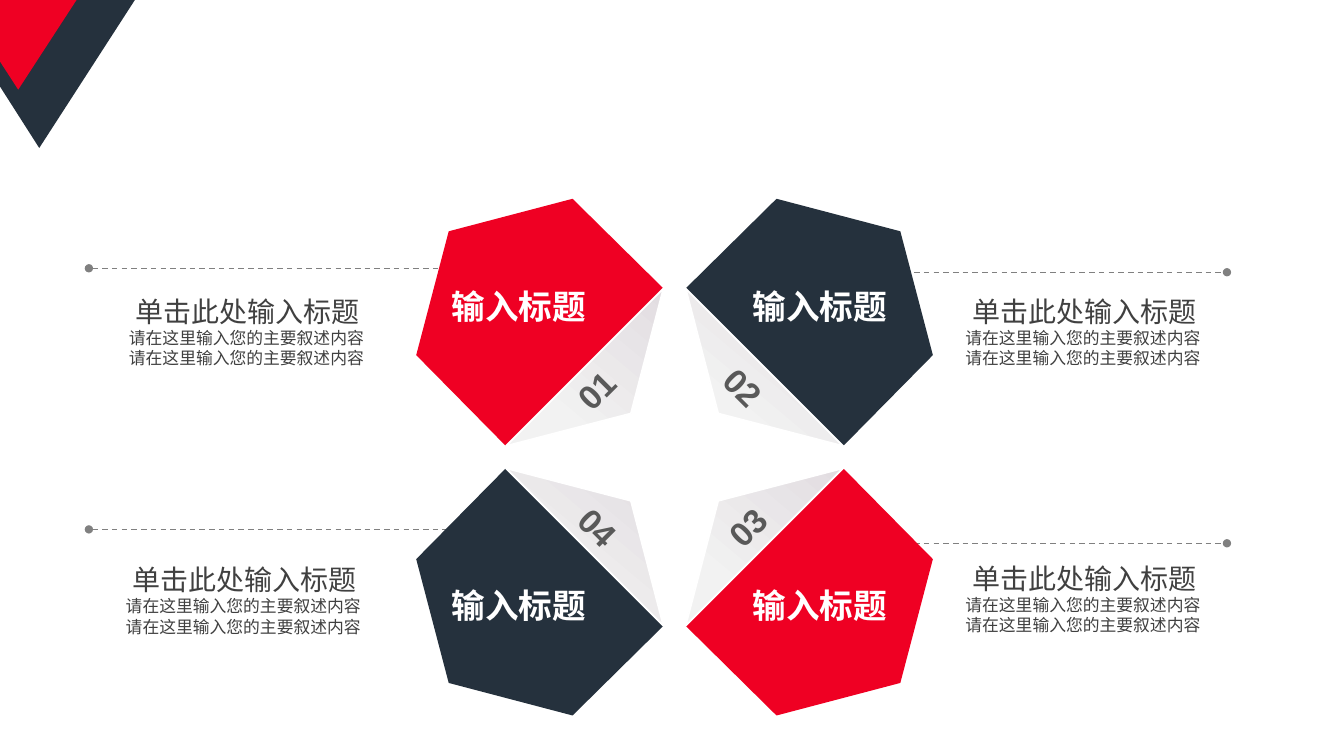
from lxml import etree
from pptx import Presentation
from pptx.dml.color import RGBColor
from pptx.enum.dml import MSO_LINE_DASH_STYLE as Dash
from pptx.enum.shapes import MSO_CONNECTOR_TYPE as Link
from pptx.enum.text import MSO_AUTO_SIZE as Fit, PP_ALIGN as Align
from pptx.oxml.ns import qn
from pptx.util import Cm, Pt

RED, NAVY = "EF0023", "25313D"
MID_X, MID_Y = 17, 11.52

# Hexagon corners as distances from the centre; the last three form the flap
HEX = [(6.51, 2.57), (5.69, 5.69), (2.57, 6.51),
       (0.28, 4.25), (1.1, 1.1), (4.25, 0.28)]


def tint(color, code):
    color.rgb = RGBColor.from_string(code)


def write(para, text, size=12, color="404040", bold=False,
          align=Align.LEFT, indent=0):
    para.alignment = align
    if indent:
        para._p.get_or_add_pPr().set("marL", str(Cm(indent)))
    run = para.add_run()
    run.text = text
    run.font.name = "Arial"
    run.font.size = Pt(size)
    run.font.bold = bold
    tint(run.font.color, color)


class Deck:
    def __init__(self):
        self.prs = Presentation()
        self.prs.slide_width, self.prs.slide_height = Cm(33.87), Cm(19.05)
        self.slide = self.prs.slides.add_slide(self.prs.slide_layouts[6])
        self.shapes = self.slide.shapes

    def poly(self, points, color):
        spots = [(Cm(x), Cm(y)) for x, y in points]
        pen = self.shapes.build_freeform(*spots[0])
        pen.add_line_segments(spots[1:], close=True)
        shape = pen.convert_to_shape()
        shape.shadow.inherit = False
        shape.fill.solid()
        tint(shape.fill.fore_color, color)
        shape.line.fill.background()
        return shape

    def flap(self, points):
        shape = self.poly(points, "F2F2F2")
        shape.fill.gradient()
        shape.fill.gradient_angle = 230
        stops = shape.fill.gradient_stops
        for stop, color, place in zip(stops, ("E2DDE1", "F2F2F2"), (0, 0.76)):
            tint(stop.color, color)
            stop.position = place
        tint(shape.line.color, "FFFFFF")
        shape.line.width = Pt(1.25)

    def rule(self, x, y, width):
        link = self.shapes.add_connector(
            Link.STRAIGHT, Cm(x), Cm(y), Cm(x + width), Cm(y))
        tint(link.line.color, "808080")
        link.line.width = Pt(1)
        link.line.dash_style = Dash.DASH
        line = link.line._get_or_add_ln()
        for end in ("a:headEnd", "a:tailEnd"):
            etree.SubElement(line, qn(end), type="oval")
        etree.SubElement(link._element.spPr, qn("a:effectLst"))

    def box(self, x, y, width, height, wrap=False, turn=0):
        shape = self.shapes.add_textbox(Cm(x), Cm(y), Cm(width), Cm(height))
        shape.rotation = turn
        frame = shape.text_frame
        frame.word_wrap = wrap
        frame.auto_size = Fit.SHAPE_TO_FIT_TEXT
        return frame

    def petal(self, side, row, color):
        points = [(MID_X + side * x, MID_Y + row * y) for x, y in HEX]
        self.poly(points, color)
        self.flap(points[3:])

    def badge(self, text, x, y, turn):
        frame = self.box(x, y, 2.46, 1.27, wrap=True, turn=turn)
        write(frame.paragraphs[0], text, size=24, color="595959",
              bold=True, align=Align.CENTER)

    def label(self, text, x, y):
        frame = self.box(x, y, 3.96, 1.27)
        write(frame.paragraphs[0], text, size=24, color="FFFFFF", bold=True)

    def note(self, head, lines, x, y):
        frame = self.box(x, y, 6.5, 3.5)
        write(frame.paragraphs[0], head, size=20, indent=0.17)
        for line in lines:
            write(frame.add_paragraph(), line)


def main():
    deck = Deck()

    # Corner mark
    deck.poly([(0, 0), (3.4, 0), (0.99, 3.73), (0, 2.18)], NAVY)
    deck.poly([(0, 0), (1.93, 0), (0.46, 2.26), (0, 1.55)], RED)

    # Dashed rules, running in behind the petals
    for x, y in [(2.24, 6.76), (2.24, 13.34), (19.76, 6.86), (19.76, 13.69)]:
        deck.rule(x, y, 11.16)

    # Petals: side, row, colour, number with its place and turn
    petals = [(-1, -1, RED, "01", 13.79, 9.19, 315),
              (1, -1, NAVY, "02", 17.5, 9.12, 45),
              (-1, 1, NAVY, "04", 13.84, 12.65, 45),
              (1, 1, RED, "03", 17.6, 12.65, 315)]
    for side, row, color, num, x, y, turn in petals:
        deck.petal(side, row, color)
        deck.badge(num, x, y, turn)
        deck.label("输入标题", 11.13 if side < 0 else 18.72,
                   7.08 if row < 0 else 14.62)

    # Notes
    lines = ["请在这里输入您的主要叙述内容"] * 2
    for x, y in [(3, 7.29), (24.08, 7.29), (2.92, 14.05), (24.08, 14.02)]:
        deck.note("单击此处输入标题", lines, x, y)

    deck.prs.save("out.pptx")


if __name__ == "__main__":
    main()
